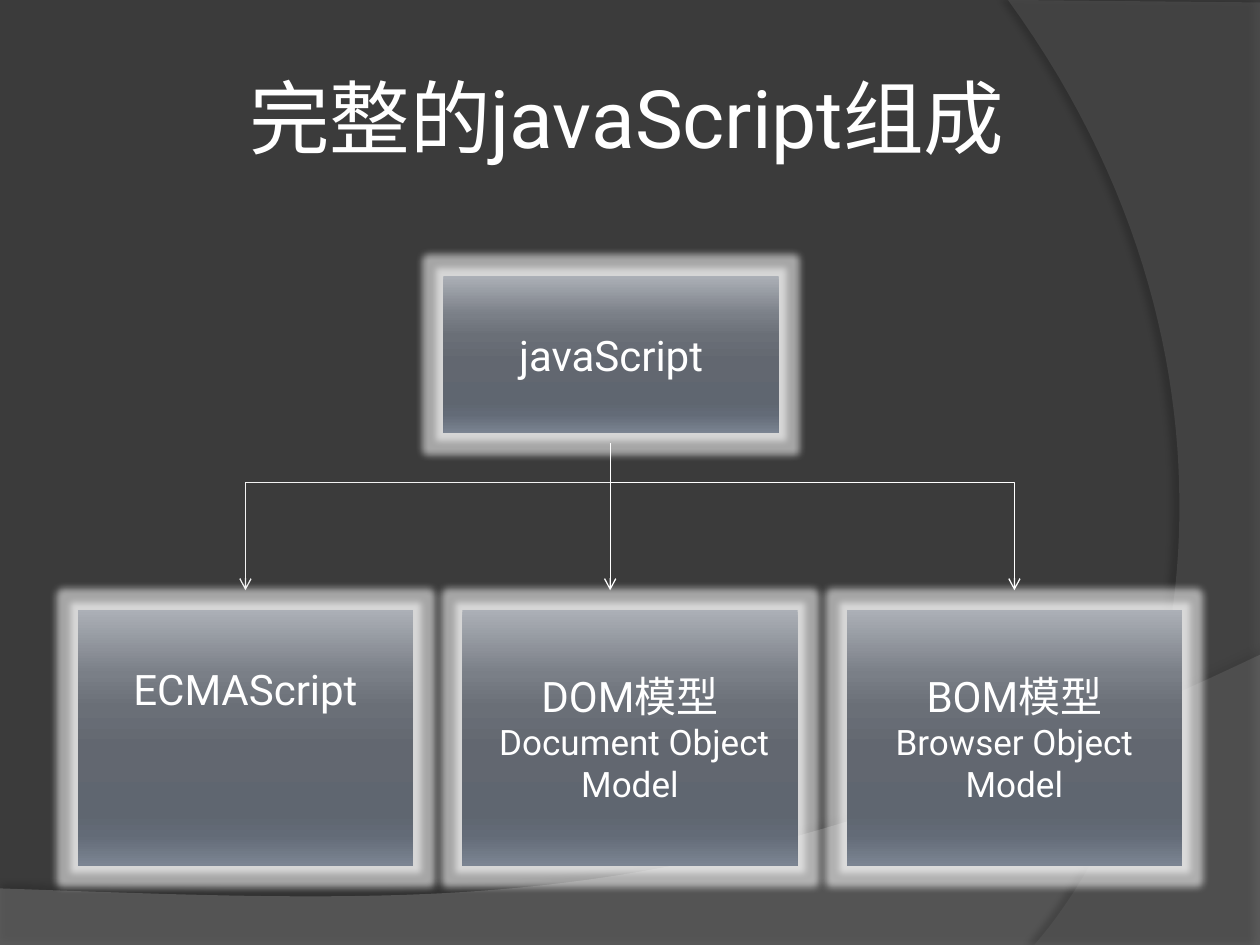
"""Build a slide with the parts of javaScript as a tree of boxes."""
from dataclasses import dataclass

from lxml import etree
from pptx import Presentation
from pptx.dml.color import RGBColor
from pptx.enum.shapes import MSO_CONNECTOR, MSO_SHAPE
from pptx.enum.text import MSO_ANCHOR, PP_ALIGN
from pptx.oxml.ns import qn
from pptx.util import Cm, Pt

RECT = MSO_SHAPE.RECTANGLE
STRAIGHT = MSO_CONNECTOR.STRAIGHT
ELBOW = MSO_CONNECTOR.ELBOW
MIDDLE = MSO_ANCHOR.MIDDLE
CENTER = PP_ALIGN.CENTER

FONT = "Roboto"
BLACK = RGBColor(0x00, 0x00, 0x00)
WHITE = RGBColor(0xFF, 0xFF, 0xFF)
PALE = RGBColor(0xF2, 0xF2, 0xF2)
DARK = RGBColor(0x3B, 0x3B, 0x3B)
GRAY = RGBColor(0x7F, 0x7F, 0x7F)
ASH = RGBColor(0x5E, 0x5E, 0x5E)
STEEL = (
    (0, RGBColor(0xAC, 0xB0, 0xB7)),
    (25, RGBColor(0x7A, 0x7F, 0x87)),
    (38, RGBColor(0x6A, 0x6F, 0x77)),
    (55, RGBColor(0x62, 0x67, 0x70)),
    (80, RGBColor(0x5F, 0x66, 0x70)),
    (88, RGBColor(0x63, 0x6B, 0x77)),
    (100, RGBColor(0x7B, 0x84, 0x92)),
)

WIDTH, HEIGHT = 25.4, 19.05
BOX_W, ROOT_H, LEAF_H = 6.76, 3.18, 5.16
LEFT, STEP, LEAF_TOP = 1.57, 7.75, 12.29
AXIS, FORK, TIP = 12.3, 9.73, 11.9


@dataclass
class Box:
    left: float
    top: float
    height: float
    lines: tuple[str, ...]
    bottom: float = 0.13


@dataclass
class Arrow:
    kind: int
    start: tuple[float, float]
    end: tuple[float, float]
    color: RGBColor


@dataclass
class Sweep:
    corners: tuple[tuple[float, float], ...]
    curve: tuple[tuple[float, float], ...]
    color: RGBColor
    alpha: int
    shade: int
    dist: float
    angle: int


SWEEPS = (
    Sweep(((0, 17.91), (0, HEIGHT), (WIDTH, HEIGHT)),
          ((WIDTH, 13.2), (14.2, 18.52), (9.93, 18.26), (0, 17.91)),
          GRAY, 45, 35, 3.5, 270),
    Sweep(((WIDTH, 0.05), (WIDTH, HEIGHT)),
          ((20.85, HEIGHT), (23.75, 15.72), (25.86, 7.62), (20.32, 0)),
          ASH, 40, 45, 4, 180),
)
LEAVES = (
    (("ECMAScript",), 2.11),
    (("DOM模型", " Document Object Model"), 0.13),
    (("BOM模型", "Browser Object Model"), 0.13),
)
BOXES = [Box(8.94, 5.56, ROOT_H, ("javaScript",))] + [
    Box(LEFT + i * STEP, LEAF_TOP, LEAF_H, lines, bottom)
    for i, (lines, bottom) in enumerate(LEAVES)
]
ARROWS = (
    Arrow(STRAIGHT, (AXIS, 8.94), (AXIS, TIP), WHITE),
    Arrow(ELBOW, (AXIS, FORK), (4.95, TIP), PALE),
    Arrow(ELBOW, (AXIS, FORK), (20.45, TIP), WHITE),
)


def add_color(node, color: RGBColor, alpha: int) -> None:
    tone = etree.SubElement(node, qn("a:srgbClr"), val=str(color))
    etree.SubElement(tone, qn("a:alpha"), val=str(alpha * 1000))


def add_effect(shape, tag: str, color: RGBColor, alpha: int, **sizes: int) -> None:
    shape.shadow.inherit = False
    group = shape._element.spPr.find(qn("a:effectLst"))
    attrs = {key: str(value) for key, value in sizes.items()}
    add_color(etree.SubElement(group, qn(tag), attrs), color, alpha)


def write(frame, lines: tuple[str, ...], sizes: tuple[int, ...]) -> None:
    frame.word_wrap = True
    frame.vertical_anchor = MIDDLE
    frame.text = "\n".join(lines)
    for para, size in zip(frame.paragraphs, sizes):
        para.alignment = CENTER
        para.font.name = FONT
        para.font.size = Pt(size)
        para.font.color.rgb = WHITE


def draw_sweep(slide, item: Sweep) -> None:
    a, b, c, d = item.curve
    points = list(item.corners)
    for i in range(61):
        t = i / 60
        u = 1 - t
        points.append(tuple(
            u**3 * p + 3 * u * u * t * q + 3 * u * t * t * r + t**3 * s
            for p, q, r, s in zip(a, b, c, d)))
    spots = [(Cm(x), Cm(y)) for x, y in points]
    path = slide.shapes.build_freeform(*spots[0])
    path.add_line_segments(spots[1:], close=True)
    shape = path.convert_to_shape()
    shape.fill.solid()
    shape.fill.fore_color.rgb = item.color
    tone = shape._element.spPr.find(qn("a:solidFill"))[0]
    etree.SubElement(tone, qn("a:alpha"), val=str(item.alpha * 1000))
    shape.line.fill.background()
    add_effect(shape, "a:outerShdw", BLACK, item.shade, blurRad=Pt(4),
               dist=Pt(item.dist), dir=item.angle * 60000)


def draw_box(slide, item: Box) -> None:
    shape = slide.shapes.add_shape(
        RECT, Cm(item.left), Cm(item.top), Cm(BOX_W), Cm(item.height))
    shape.fill.gradient()
    shape.fill.gradient_angle = 270
    stops = shape._element.spPr.find(".//" + qn("a:gsLst"))
    stops.clear()
    for place, color in STEEL:
        stop = etree.SubElement(stops, qn("a:gs"), pos=str(place * 1000))
        add_color(stop, color, 100)
    shape.line.fill.background()
    add_effect(shape, "a:glow", WHITE, 55, rad=Pt(8))
    shape.text_frame.margin_bottom = Cm(item.bottom)
    write(shape.text_frame, item.lines, (24, 20))


def draw_arrow(slide, item: Arrow) -> None:
    ends = [Cm(value) for value in item.start + item.end]
    link = slide.shapes.add_connector(item.kind, *ends)
    link.line.color.rgb = item.color
    link.line.width = Pt(0.75)
    props = link._element.spPr
    if item.kind == ELBOW:
        props.find(qn("a:prstGeom")).set("prst", "bentConnector2")
    etree.SubElement(props.find(qn("a:ln")), qn("a:tailEnd"), type="arrow")
    etree.SubElement(props, qn("a:effectLst"))


def main() -> None:
    deck = Presentation()
    deck.slide_width, deck.slide_height = Cm(WIDTH), Cm(HEIGHT)
    slide = deck.slides.add_slide(deck.slide_layouts[6])
    slide.background.fill.solid()
    slide.background.fill.fore_color.rgb = DARK
    for sweep in SWEEPS:
        draw_sweep(slide, sweep)
    title = slide.shapes.add_textbox(Cm(1.27), Cm(0.76), Cm(22.73), Cm(3.18))
    write(title.text_frame, ("完整的javaScript组成",), (46,))
    for box in BOXES:
        draw_box(slide, box)
    for arrow in ARROWS:
        draw_arrow(slide, arrow)
    deck.save("out.pptx")


if __name__ == "__main__":
    main()
